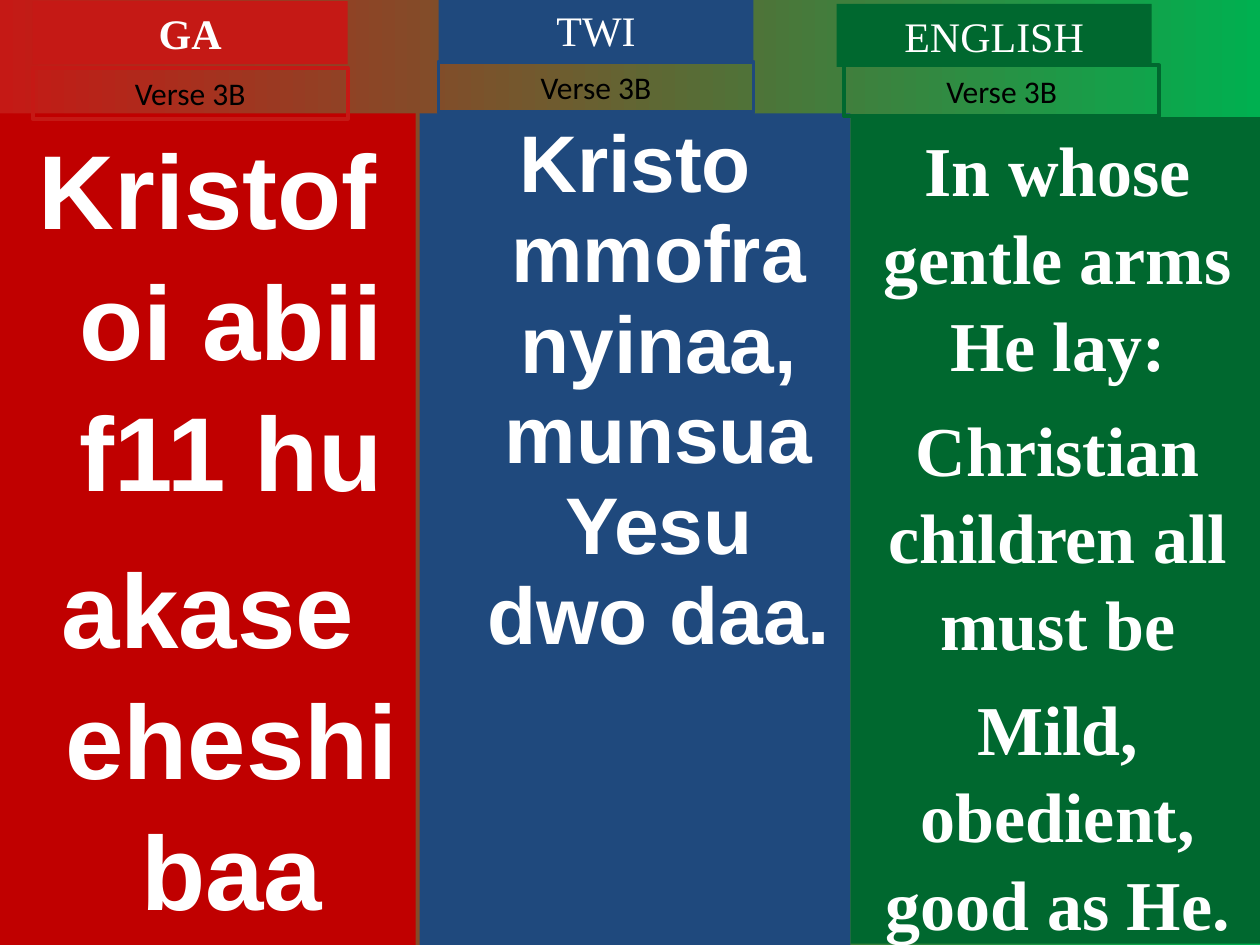
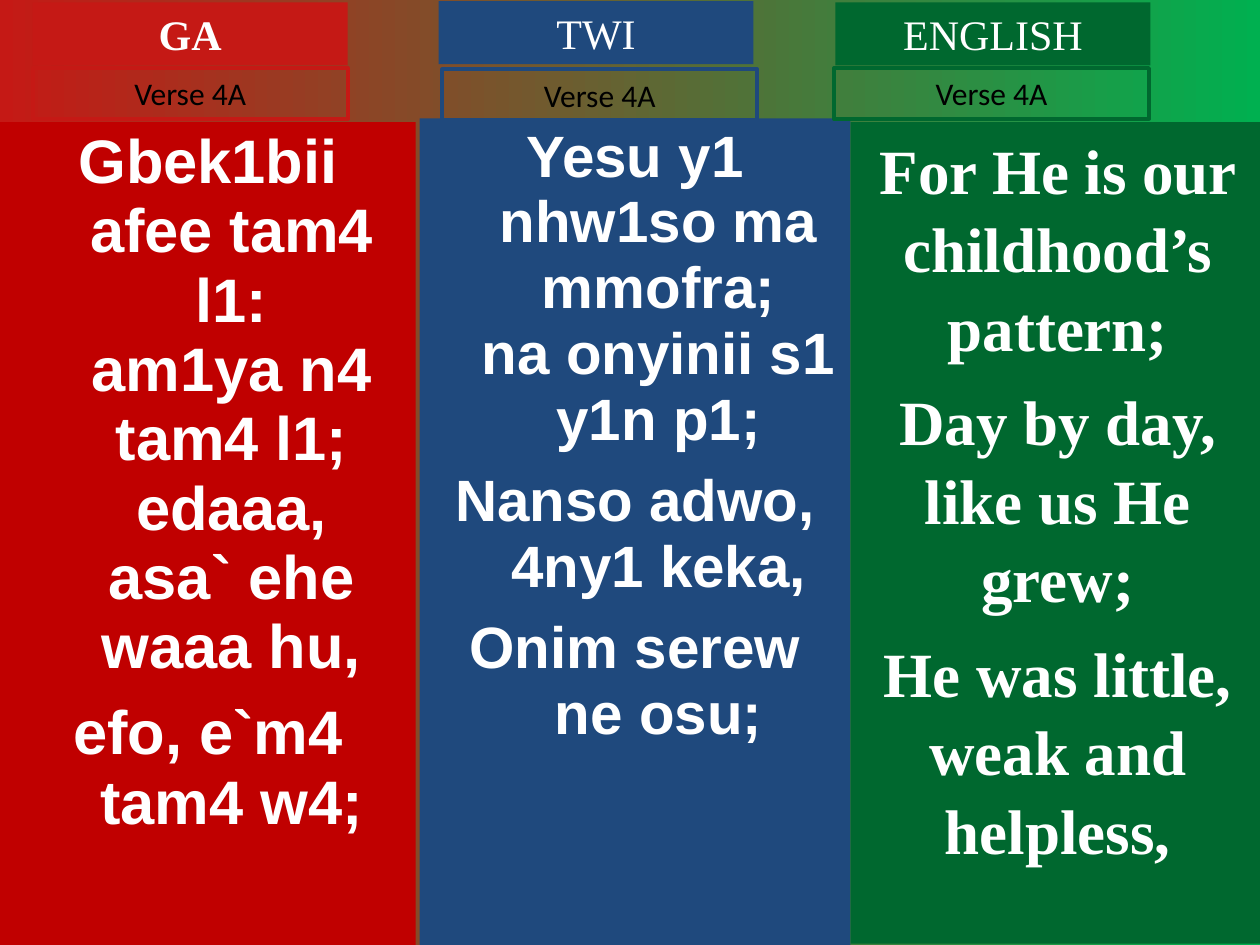
from pptx import Presentation
from pptx.dml.color import RGBColor
from pptx.enum import shapes, text
from pptx.util import Pt

# Shared colours and fonts
RED = RGBColor(0xC0, 0x00, 0x00)
SCARLET = RGBColor(0xC5, 0x19, 0x15)
BLUE = RGBColor(0x1F, 0x49, 0x7D)
GREEN = RGBColor(0x00, 0x68, 0x2F)
LIME = RGBColor(0x00, 0xB0, 0x50)
WHITE = RGBColor(0xFF, 0xFF, 0xFF)
BLACK = RGBColor(0x00, 0x00, 0x00)
SANS, SERIF, LABEL = "Arial", "Times New Roman", "Calibri"

# Shared columns: heading, body left and width, body fill, accent, font, hanging indent
COLUMNS = [
    ("GA", 0, 237.6, RED, SCARLET, SANS, 27),
    ("TWI", 239.8, 246.2, BLUE, BLUE, SANS, 27),
    ("ENGLISH", 486, 236.9, GREEN, GREEN, SERIF, 0),
]

# Each verse, by column: body top and bottom, heading left and top,
# label left and top, text size, line spacing, paragraph gap, lines
VERSES = [
    ("Verse 3B", [
        (64.8, 540, 18.7, 0.7, 18.7, 38.9, 60, 1.04, 15,
         ["Kristofoi abii f11 hu", "akase eheshibaa"]),
        (64.8, 540, 250.6, -0.7, 250.6, 35.3, 45.9, 0.94, 13.5,
         ["Kristo mmofra nyinaa,\vmunsua Yesu dwo daa."]),
        (67, 539.3, 478.1, 2.2, 482.4, 37.4, 40, 1.04, 10,
         ["In whose gentle arms He lay:", "Christian children all must be",
          "Mild, obedient, good as He."]),
    ]),
    ("Verse 4A", [
        (69.8, 540, 18.7, 1.4, 18.7, 38.9, 35.1, 0.94, 9.5,
         ["Gbek1bii afee tam4 l1:\vam1ya n4 tam4 l1;\vedaaa,\vasa` ehe waaa hu,",
          "efo, e`m4 tam4 w4;"]),
        (67.7, 540, 250.6, 0.7, 252.7, 39.6, 33.3, 0.94, 9,
         ["Yesu y1 nhw1so ma mmofra;\vna onyinii s1 y1n p1;",
          "Nanso adwo, 4ny1 keka,", "Onim serew ne osu;"]),
        (69.8, 539.3, 477.4, 1.4, 476.6, 38.9, 36, 1.04, 9,
         ["For He is our childhood’s pattern;", "Day by day, like us He grew;",
          "He was little, weak and helpless,"]),
    ]),
]


def add_box(slide, lines, left, top, width, height, font, size, color=WHITE,
            fill=None, edge=None, bold=False, space=None, gap=0, hang=0, grow=False):
    box = slide.shapes.add_shape(shapes.MSO_SHAPE.RECTANGLE,
                                 Pt(left), Pt(top), Pt(width), Pt(height))
    box.shadow.inherit = False
    if fill is None:
        box.fill.background()
    else:
        box.fill.solid()
        box.fill.fore_color.rgb = fill
    if edge is None:
        box.line.fill.background()
    else:
        box.line.color.rgb = edge
        box.line.width = Pt(2.25)

    frame = box.text_frame
    frame.word_wrap = True
    frame.vertical_anchor = text.MSO_ANCHOR.TOP
    if grow:
        frame.auto_size = text.MSO_AUTO_SIZE.SHAPE_TO_FIT_TEXT
    for i, line in enumerate(lines):
        para = frame.add_paragraph() if i else frame.paragraphs[0]
        para.text = line
        para.alignment = text.PP_ALIGN.CENTER
        if space:
            para.line_spacing = space
        if i:
            para.space_before = Pt(gap)
        if hang:
            props = para._p.get_or_add_pPr()
            props.set("marL", str(Pt(hang)))
            props.set("indent", str(-Pt(hang)))
        for run in para.runs:
            run.font.name = font
            run.font.size = Pt(size)
            run.font.bold = bold
            run.font.color.rgb = color


deck = Presentation()
deck.slide_width, deck.slide_height = Pt(720), Pt(540)

for verse, parts in VERSES:
    slide = deck.slides.add_slide(deck.slide_layouts[6])

    # Red to green background
    back = slide.background.fill
    back.gradient()
    back.gradient_angle = 0
    for stop, color in zip(back.gradient_stops, (SCARLET, LIME)):
        stop.color.rgb = color

    # One column per language
    for column, part in zip(COLUMNS, parts):
        name, left, width, fill, accent, font, hang = column
        top, base, head_x, head_y, tag_x, tag_y, size, space, gap, lines = part
        add_box(slide, lines, left, top, width, base - top, font, size,
                fill=fill, bold=True, space=space, gap=gap, hang=hang)
        add_box(slide, [name], head_x, head_y, 180, 36, SERIF, 24,
                fill=accent, bold=name == "GA", grow=True)
        add_box(slide, [verse], tag_x, tag_y, 180, 29, LABEL, 18,
                color=BLACK, edge=accent, grow=True)

deck.save("out.pptx")
